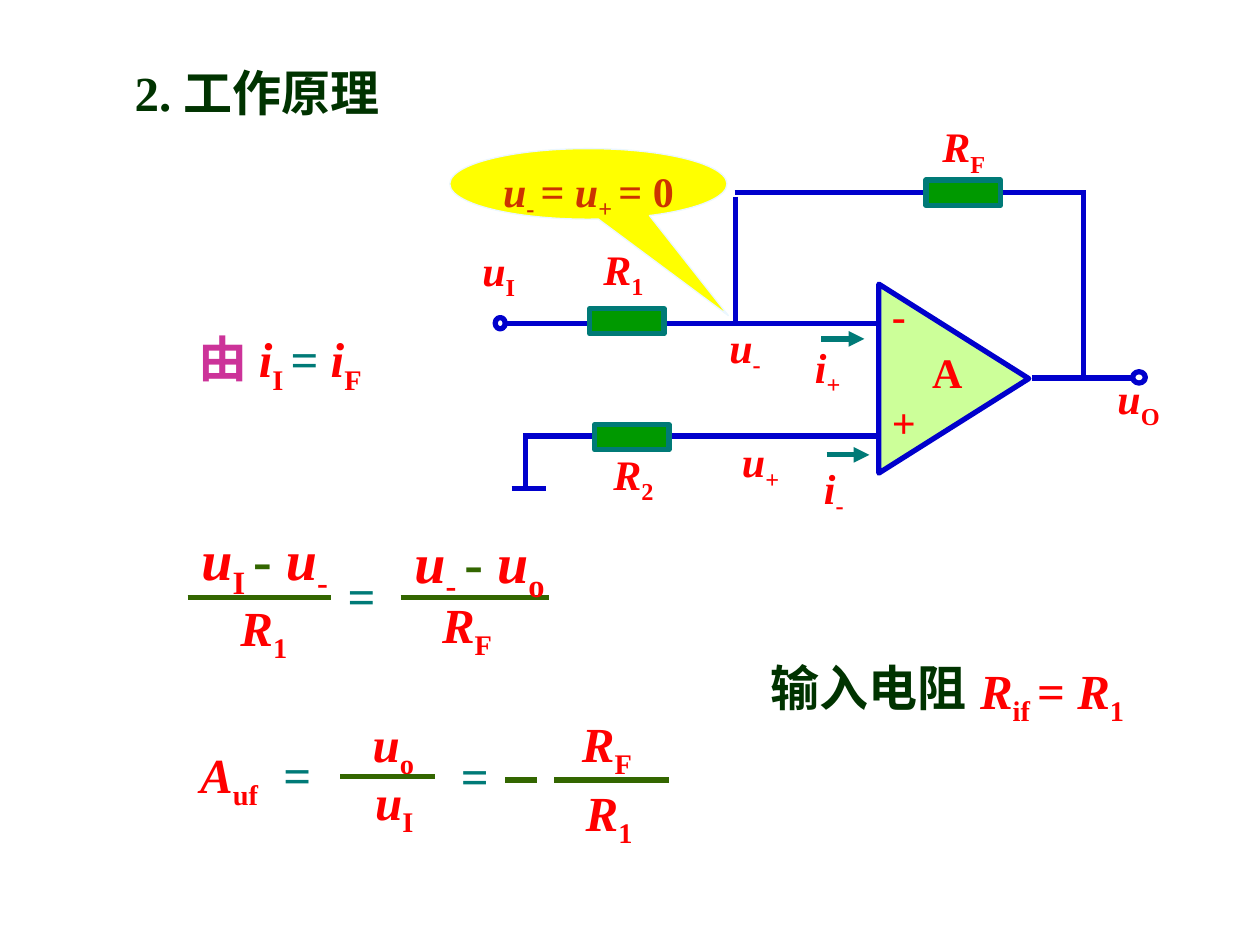
from lxml import etree
from pptx import Presentation
from pptx import util as u
from pptx.dml.color import RGBColor
from pptx.enum import shapes, text
from pptx.oxml import ns

HUES = {
    "red": "FF0000", "rust": "CC3300", "pink": "CC3399", "dark": "003300",
    "moss": "336600", "teal": "007A77", "blue": "0000CC", "leaf": "009900",
    "lime": "CCFF99", "sun": "FFFF00", "pale": "EBF7FF",
}
FONT = "Times New Roman"
STYLES = {
    "var": ("red", True, False),
    "sub": ("red", False, True),
    "sum": ("red", False, False),
    "minus": ("moss", False, False),
    "teal": ("teal", False, False),
    "lead": ("pink", False, False),
    "head": ("dark", False, False),
}


def hue(name):
    return RGBColor.from_string(HUES[name])


def sym(base, sub):
    return [(base, "var"), (sub, "sub")]


def write(frame, parts, size, tint=None):
    line = frame.paragraphs[0]
    for words, style in parts:
        tone, slant, low = STYLES[style]
        run = line.add_run()
        run.text = words
        font = run.font
        font.name, font.size, font.bold, font.italic = FONT, u.Pt(size), True, slant
        font.color.rgb = hue(tint or tone)
        if low:
            run._r.get_or_add_rPr().set("baseline", "-25000")


class Pane:
    def __init__(self, slide, left, top):
        self.shapes, self.left, self.top = slide.shapes, left, top

    def spot(self, x, y):
        return u.Inches(self.left + x), u.Inches(self.top + y)

    def note(self, x, y, wide, high, parts, size):
        box = self.shapes.add_textbox(*self.spot(x, y), u.Inches(wide), u.Inches(high))
        frame = box.text_frame
        frame.word_wrap = True
        frame.auto_size = text.MSO_AUTO_SIZE.SHAPE_TO_FIT_TEXT
        frame.margin_right = 0
        write(frame, parts, size)
        return box

    def line(self, x, y, x2, y2, tone, arrow=False):
        wire = self.shapes.add_connector(
            shapes.MSO_CONNECTOR.STRAIGHT, *self.spot(x, y), *self.spot(x2, y2))
        wire.line.color.rgb = hue(tone)
        wire.line.width = u.Pt(3)
        if arrow:
            tip = etree.SubElement(wire.line._get_or_add_ln(), ns.qn("a:tailEnd"))
            tip.set("type", "triangle")
        etree.SubElement(wire._element.spPr, ns.qn("a:effectLst"))

    def form(self, kind, x, y, wide, high, fill, edge, width=3):
        item = self.shapes.add_shape(
            kind, *self.spot(x, y), u.Inches(wide), u.Inches(high))
        item.shadow.inherit = False
        if fill:
            item.fill.solid()
            item.fill.fore_color.rgb = hue(fill)
        else:
            item.fill.background()
        item.line.color.rgb = hue(edge)
        item.line.width = u.Pt(width)
        return item


def callout(pane):
    kind = shapes.MSO_SHAPE.OVAL_CALLOUT
    cloud = pane.form(kind, 0, 0, 2.2, 0.56, "sun", "pale", 0.75)
    cloud.adjustments[0], cloud.adjustments[1] = 0.505, 1.867
    frame = cloud.text_frame
    frame.word_wrap = False
    frame.vertical_anchor = text.MSO_ANCHOR.TOP
    frame.paragraphs[0].alignment = text.PP_ALIGN.CENTER
    parts = sym("u", "- ") + [("= ", "sum")] + sym("u", "+ ") + [("= 0", "sum")]
    write(frame, parts, 24, "rust")


def gain(pane):
    for x, y, wide, parts in [
        (1.41, 0, 0.53, sym("u", "o")), (1.43, 0.46, 0.5, sym("u", "I")),
        (3.07, 0, 0.59, sym("R", "F")), (3.1, 0.55, 0.57, sym("R", "1")),
    ]:
        pane.note(x, y, wide, 0.63, parts, 28)
    name = pane.note(0.04, 0.25, 1.24, 0.63,
                     sym("A", "uf") + [("\t=", "teal")], 28)
    props = name.text_frame.paragraphs[0]._p.get_or_add_pPr()
    stops = etree.SubElement(props, ns.qn("a:tabLst"))
    stop = etree.SubElement(stops, ns.qn("a:tab"))
    stop.set("pos", str(u.Inches(0.66)))
    stop.set("algn", "l")
    pane.note(2.11, 0.26, 0.42, 0.57, [("=", "teal")], 28)
    for x, y, end in [(1.25, 0.55, 2), (2.56, 0.58, 2.81), (2.95, 0.58, 3.86)]:
        pane.line(x, y, end, y, "moss")


def balance(pane):
    minus = [("- ", "minus")]
    for x, end in [(0.04, 1.18), (1.73, 2.91)]:
        pane.line(x, 0.64, end, 0.64, "moss")
    for x, y, wide, high, parts, size in [
        (0.05, 0.01, 1.2, 0.71, sym("u", "I ") + minus + sym("u", "-"), 32),
        (1.74, 0.04, 1.23, 0.71, sym("u", "- ") + minus + sym("u", "o"), 32),
        (0.36, 0.59, 0.57, 0.63, sym("R", "1"), 28),
        (1.96, 0.57, 0.59, 0.63, sym("R", "F"), 28),
    ]:
        pane.note(x, y, wide, high, parts, size)
    pane.note(1.21, 0.34, 0.59, 0.57, [("=", "teal")], 28)


def intake(pane):
    pane.note(0, 0, 1.84, 0.57, [("输入电阻", "head")], 28)
    parts = sym("R", "if ") + [("= ", "sum")] + sym("R", "1")
    pane.note(1.66, 0.02, 1.48, 0.63, parts, 28)


def circuit(pane):
    kinds = shapes.MSO_SHAPE
    for ends in [
        (0.32, 1.67, 3.29, 1.67), (0.45, 2.56, 3.28, 2.56),
        (2.13, 0.63, 4.92, 0.63), (2.14, 0.66, 2.14, 1.69),
        (4.9, 0.63, 4.9, 2.11), (4.49, 2.1, 5.3, 2.1),
        (0.47, 2.58, 0.47, 2.98), (0.36, 2.98, 0.63, 2.98),
    ]:
        pane.line(*ends, "blue")
    for x, y in [(2.82, 1.79), (2.86, 2.71)]:
        pane.line(x, y, x + 0.34, y, "teal", True)
    for x, y in [(0.98, 1.55), (3.65, 0.53), (1.02, 2.47)]:
        pane.form(kinds.RECTANGLE, x, y, 0.59, 0.2, "leaf", "teal")
    for x, y, wide in [(0.23, 1.62, 0.08), (5.29, 2.05, 0.1)]:
        pane.form(kinds.OVAL, x, y, wide, 0.09, None, "blue")
    amp = pane.form(kinds.ISOSCELES_TRIANGLE, 3.12, 1.51, 1.5, 1.19, "lime", "blue")
    amp.rotation = 90
    for x, y, wide, mark in [
        (3.28, 2.2, 0.59, "+"), (3.28, 1.35, 0.5, "-"), (3.6, 1.8, 0.56, "A"),
    ]:
        pane.note(x, y, wide, 0.5, [(mark, "sum")], 24)
    for x, y, wide, base, sub in [
        (3.68, 0.01, 0.68, "R", "F"), (0.99, 0.98, 0.66, "R", "1"),
        (1.07, 2.61, 0.68, "R", "2"), (0.03, 0.99, 0.68, "u", "I"),
        (5.07, 2.01, 0.68, "u", "O"), (1.99, 1.6, 0.45, "u", "-"),
        (2.09, 2.51, 0.49, "u", "+"), (2.67, 1.76, 0.4, "i", "+"),
        (2.74, 2.72, 0.35, "i", "-"),
    ]:
        pane.note(x, y, wide, 0.56, sym(base, sub), 24)


def title(pane):
    pane.note(0, 0, 2.89, 0.57, [("2. 工作原理", "head")], 28)


def premise(pane):
    parts = [("由 ", "lead")] + sym("i", "I ") + [("= ", "teal")] + sym("i", "F")
    pane.note(0, 0, 2.76, 0.63, parts, 28)


def main():
    deck = Presentation()
    deck.slide_width, deck.slide_height = u.Inches(10), u.Inches(7.5)
    slide = deck.slides.add_slide(deck.slide_layouts[6])
    for draw, left, top in [
        (callout, 3.57, 1.18), (gain, 1.45, 5.61), (intake, 6.02, 5.17),
        (balance, 1.45, 4.1), (premise, 1.48, 2.56), (circuit, 3.7, 0.9),
        (title, 0.97, 0.45),
    ]:
        draw(Pane(slide, left, top))
    deck.save("out.pptx")


if __name__ == "__main__":
    main()
